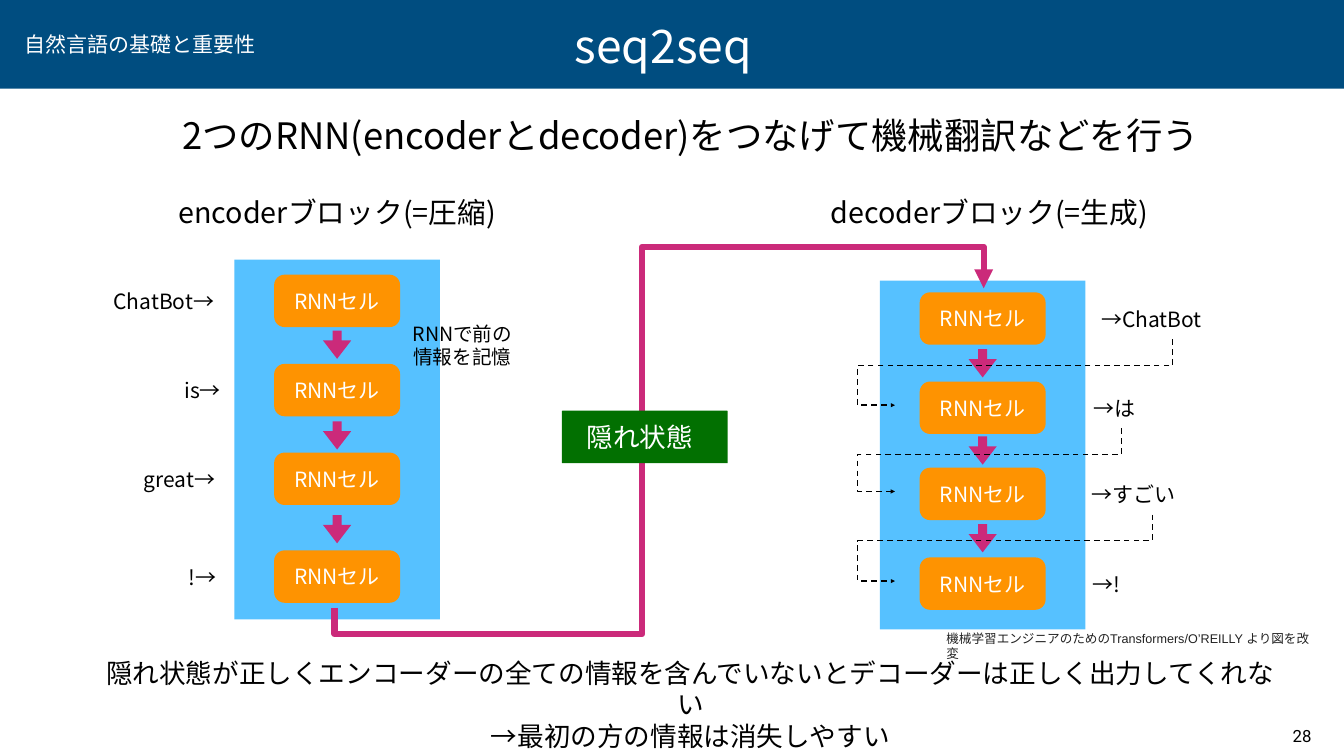
from lxml import etree
from pptx import Presentation, util as u
from pptx.dml.color import RGBColor
from pptx.enum import dml, shapes, text
from pptx.oxml.ns import qn

PX = 9144  # EMU per px, 100 px to the inch
FONT = "Noto Sans CJK JP"
COLOURS = {
    "navy": "004D80", "block": "56C1FF", "cell": "FE9301", "flow": "CB2A7A",
    "state": "027001", "white": "FFFFFF", "black": "000000", "source": "222222",
}
CELL_LEFT, CELL_WIDTH, CELL_HEIGHT = 79, 250, 104
ARROW_LEFT, ARROW_SIZE = 176, 56


def colour(name):
    return RGBColor.from_string(COLOURS[name])


def write(shape, lines, size, ink, font=FONT, align=text.PP_ALIGN.CENTER,
          anchor=text.MSO_ANCHOR.MIDDLE):
    frame = shape.text_frame
    frame.word_wrap = False
    frame.vertical_anchor = anchor
    frame.margin_left = frame.margin_right = u.Emu(6 * PX)
    frame.margin_top = frame.margin_bottom = u.Emu(6 * PX)
    for index, line in enumerate(lines):
        paragraph = frame.add_paragraph() if index else frame.paragraphs[0]
        paragraph.alignment = align
        run = paragraph.add_run()
        run.text = line
        run.font.size = u.Pt(size)
        run.font.name = font
        run.font.color.rgb = colour(ink)
        east_asian = etree.SubElement(run._r.get_or_add_rPr(), qn("a:ea"))
        east_asian.set("typeface", font)


def add_text(slide, box, lines, size, ink="black", **style):
    shape = slide.shapes.add_textbox(*[value * PX for value in box])
    write(shape, lines, size, ink, **style)
    shape.text_frame.auto_size = text.MSO_AUTO_SIZE.SHAPE_TO_FIT_TEXT


def add_box(slide, kind, box, fill, adjustments=()):
    shape = slide.shapes.add_shape(kind, *[value * PX for value in box])
    shape.shadow.inherit = False
    shape.fill.solid()
    shape.fill.fore_color.rgb = colour(fill)
    shape.line.fill.background()
    for index, value in enumerate(adjustments):
        shape.adjustments[index] = value
    return shape


def add_path(slide, points, ink, width, dash=None):
    """Open polyline with an arrowhead at its last point."""
    builder = slide.shapes.build_freeform(*points[0], scale=PX)
    builder.add_line_segments(points[1:], close=False)
    shape = builder.convert_to_shape()
    shape.shadow.inherit = False
    shape.fill.background()
    shape.line.color.rgb = colour(ink)
    shape.line.width = u.Pt(width)
    if dash:
        shape.line.dash_style = dash
    tail = etree.SubElement(shape.line._get_or_add_ln(), qn("a:tailEnd"))
    tail.set("type", "triangle")


def header(slide, box):
    left, top, _, _ = box
    add_box(slide, shapes.MSO_SHAPE.RECTANGLE, box, "navy")
    add_text(slide, (left + 42, top + 62, 471, 53), ["自然言語の基礎と重要性"], 30, "white")
    add_text(slide, (left + 1100, top + 37, 433, 103), ["seq2seq"], 66, "white")


def rnn_block(slide, box, cell_tops, arrow_tops, words):
    """Column of RNN cells; words are (text, left, width) beside each cell."""
    left, top, _, _ = box
    add_box(slide, shapes.MSO_SHAPE.RECTANGLE, box, "block")
    for cell_top, (word, word_left, word_width) in zip(cell_tops, words):
        cell = add_box(slide, shapes.MSO_SHAPE.ROUNDED_RECTANGLE,
                       (left + CELL_LEFT, top + cell_top, CELL_WIDTH, CELL_HEIGHT),
                       "cell", [0.2])
        write(cell, ["RNNセル"], 30, "white")
        add_text(slide, (left + word_left, top + cell_top + 26, word_width, 53), [word], 30)
    for arrow_top in arrow_tops:
        add_box(slide, shapes.MSO_SHAPE.DOWN_ARROW,
                (left + ARROW_LEFT, top + arrow_top, ARROW_SIZE, ARROW_SIZE),
                "flow", [0.32, 0.65])


def encoder(slide, box):
    left, top, _, _ = box
    words = [("ChatBot→", -266, 252), ("is→", -108, 90),
             ("great→", -196, 175), ("!→", -97, 68)]
    rnn_block(slide, box, [30, 207, 383, 577], [141, 321, 507], words)
    add_text(slide, (left - 142, top - 129, 692, 69), ["encoderブロック(=圧縮)"], 41)
    add_text(slide, (left + 341, top + 116, 223, 108), ["RNNで前の", "情報を記憶"], 28)


def decoder(slide, box):
    left, top, _, _ = box
    cell_tops = [23, 200, 371, 549]
    words = [("→ChatBot", 413, 252), ("→は", 418, 96),
             ("→すごい", 414, 179), ("→!", 416, 68)]
    rnn_block(slide, box, cell_tops, [136, 309, 483], words)
    add_text(slide, (left - 130, top - 170, 694, 69), ["decoderブロック(=生成)"], 41)
    # Each output word is fed back into the next cell
    for start, cell_top, next_top in zip([581, 479, 541], cell_tops, cell_tops[1:]):
        turn, end = top + cell_top + 145, top + next_top + 47
        points = [(left + start, top + cell_top + 93), (left + start, turn),
                  (left - 44, turn), (left - 44, end), (left + 30, end)]
        add_path(slide, points, "black", 2, dml.MSO_LINE.DASH)


def hidden_state(slide, box):
    left, top, width, height = box
    middle = left + 159
    encoder_exit, decoder_entry = 664, 1952
    add_path(slide, [(encoder_exit, 1206), (encoder_exit, 1258), (middle, 1258),
                     (middle, 490), (decoder_entry, 490), (decoder_entry, 572)], "flow", 9)
    add_box(slide, shapes.MSO_SHAPE.ROUNDED_RECTANGLE, box, "state", [0.01])
    add_text(slide, (left + 43, top + 20, 224, 64), ["隠れ状態"], 38, "white")


def footer(slide, box):
    left, top, _, _ = box
    add_text(slide, (left, top + 65, 2372, 143),
             ["隠れ状態が正しくエンコーダーの全ての情報を含んでいないとデコーダーは正しく出力してくれない",
              "→最初の方の情報は消失しやすい"], 38)
    add_text(slide, (left + 2375, top + 173, 50, 50), ["28"], 24,
             font="Roboto", anchor=text.MSO_ANCHOR.TOP)
    add_text(slide, (left + 1688, top, 756, 42),
             ["機械学習エンジニアのためのTransformers/O’REILLY より図を改変"], 18, "source",
             font="Arial", align=text.PP_ALIGN.LEFT)


def main():
    presentation = Presentation()
    presentation.slide_width = u.Emu(2667 * PX)
    presentation.slide_height = u.Emu(1500 * PX)
    slide = presentation.slides.add_slide(presentation.slide_layouts[6])
    header(slide, (0, 0, 2667, 176))
    add_text(slide, (286, 226, 2169, 83),
             ["2つのRNN(encoderとdecoder)をつなげて機械翻訳などを行う"], 52)
    encoder(slide, (465, 515, 408, 714))
    decoder(slide, (1746, 557, 408, 692))
    hidden_state(slide, (1115, 815, 329, 104))
    footer(slide, (184, 1261, 2444, 239))
    presentation.save("out.pptx")


if __name__ == "__main__":
    main()
